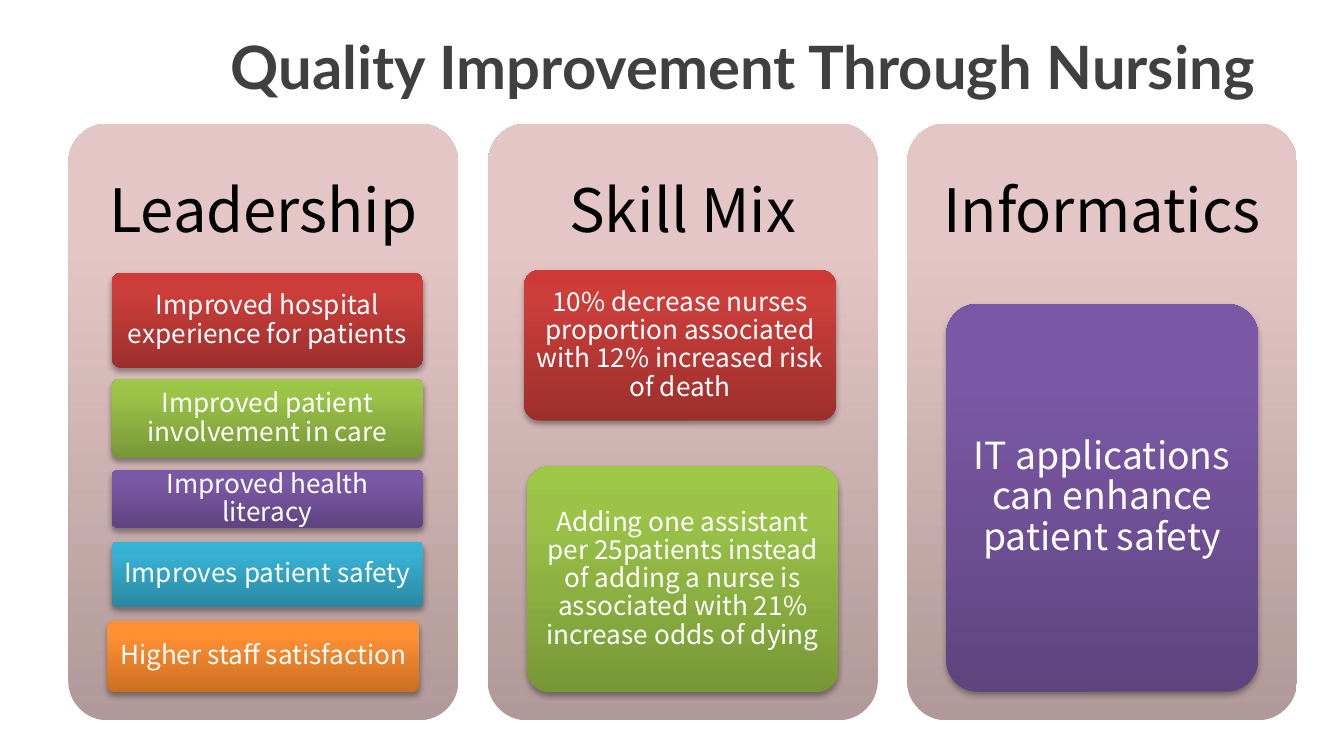
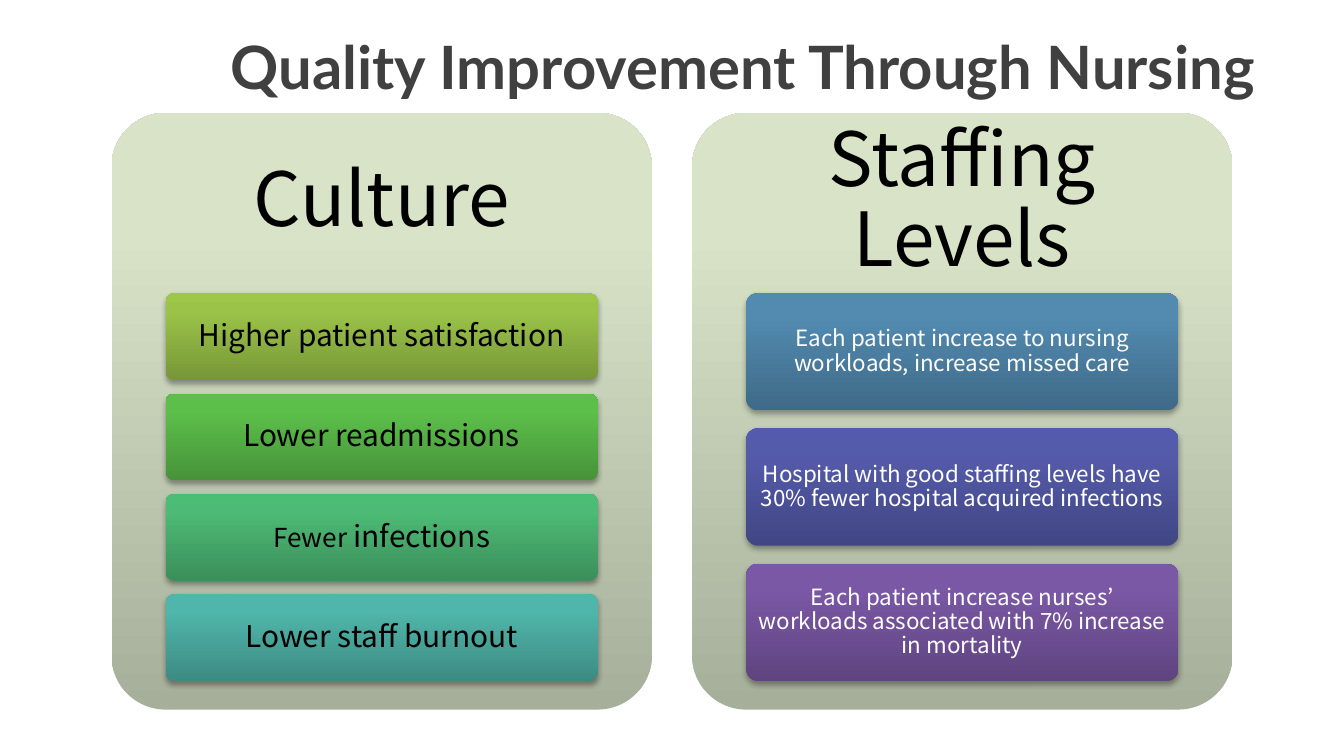
from collections import namedtuple
from copy import deepcopy

from pptx import Presentation
from pptx import util as u
from pptx.dml.color import RGBColor
from pptx.enum import shapes, text
from pptx.oxml import parse_xml
from pptx.oxml.ns import nsdecls, qn

# Widescreen slide; grid of 100 columns across, square cells
WIDTH = u.Inches(10)
HEIGHT = WIDTH * 9 // 16
CELL = WIDTH // 100

# Fonts and plain colours
TITLE_FONT, BODY_FONT = "Lato", "Noto Sans CJK KR"
TITLE_TEXT = "Quality Improvement Through Nursing"
GREY = RGBColor(0x40, 0x40, 0x40)
BLACK = RGBColor(0, 0, 0)
WHITE = RGBColor(0xFF, 0xFF, 0xFF)


def shades(*codes):
    return [RGBColor.from_string(c) for c in codes]


# Gradients, from bottom to top
STOPS = (0, 0.8, 1)
ROSE = shades("B09998", "E5C6C6", "E6C7C6")
SAGE = shades("A6AF9A", "D8E3C8", "D9E4C8")
RED = shades("9C2F2D", "CB3E3A", "CE3B37")
LIME = shades("779737", "9BC348", "9DC746")
PURPLE = shades("5F4480", "7B58A6", "7C57A8")
CYAN = shades("2A88A2", "37B1D2", "34B4D6")
ORANGE = shades("CC6E20", "FF9034", "FF9136")
GREEN = shades("479339", "5CBF4A", "5BC249")
EMERALD = shades("3B8F5A", "4DBA75", "4BBD75")
TEAL = shades("3D8B83", "50B5AA", "4EB8AC")
BLUE = shades("3F6A88", "528AB0", "518BB3")
INDIGO = shades("414684", "555BAB", "545AAE")

# Panel proportions
PANEL_HEIGHT = 44.4
HEADER_SHARE, STACK_SHARE = 0.3, 0.65
CARD_SHARE = 0.8
GAP_SHARE = 2 / 13  # gap between cards, in card heights

# A card without top and height takes its place in an even stack
Card = namedtuple("Card", "words fill top height shift", defaults=(None, None, 0))
Panel = namedtuple("Panel", "heading size color cards")

OUTCOMES = [
    Panel("Leadership", 14, WHITE, [
        Card("Improved hospital experience for patients", RED, 20.3, 7.1, 0.3),
        Card("Improved patient involvement in care", LIME, 28.2, 5.9, 0.3),
        Card("Improved health literacy", PURPLE, 35, 4.3, 0.3),
        Card("Improves patient safety", CYAN, 40.3, 4.9, 0.3),
        Card("Higher staff satisfaction", ORANGE, 46.2, 5.3),
    ]),
    Panel("Skill Mix", 14, WHITE, [
        Card("10% decrease nurses proportion associated with 12% increased "
             "risk of death", RED, 20.1, 11.2, -0.2),
        Card("Adding one assistant per 25patients instead of adding a nurse is "
             "associated with 21% increase odds of dying", LIME, 34.7, 16.8),
    ]),
    Panel("Informatics", 20, WHITE, [
        Card("IT applications can enhance patient safety", PURPLE),
    ]),
]
WORKPLACE = [
    Panel("Culture", 16, BLACK, [
        Card("Higher patient satisfaction", LIME),
        Card("Lower readmissions", GREEN),
        Card([("Fewer ", 14), ("infections", 16)], EMERALD),
        Card("Lower staff burnout", TEAL),
    ]),
    Panel("Staffing Levels", 12, WHITE, [
        Card("Each patient increase to nursing workloads, increase missed care", BLUE),
        Card("Hospital with good staffing levels have 30% fewer hospital "
             "acquired infections", INDIGO),
        Card("Each patient increase nurses’ workloads associated with 7% "
             "increase in mortality", PURPLE),
    ]),
]


def cells(*counts):
    return [round(n * CELL) for n in counts]


def write(sp, words, size, color, font=BODY_FONT, bold=False, spacing=0.9, inset=None):
    """Centre words, a string or (string, size) pairs, in a shape."""
    tf = sp.text_frame
    tf.word_wrap = True
    tf.vertical_anchor = text.MSO_ANCHOR.MIDDLE
    if inset:
        tf.margin_left = tf.margin_right = u.Pt(inset[0])
        tf.margin_top = tf.margin_bottom = u.Pt(inset[1])
    p = tf.paragraphs[0]
    p.alignment = text.PP_ALIGN.CENTER
    p.line_spacing = spacing
    for part, points in [(words, size)] if isinstance(words, str) else words:
        r = p.add_run()
        r.text = part
        r.font.name, r.font.size, r.font.bold = font, u.Pt(points), bold
        r.font.color.rgb = color


def add_shadow(sp):
    sp_pr = sp._element.spPr
    sp_pr.remove(sp_pr.find(qn("a:effectLst")))
    sp_pr.append(parse_xml(
        f'<a:effectLst {nsdecls("a")}><a:outerShdw blurRad="{u.Pt(3.1)}" '
        f'dist="{u.Pt(1.8)}" dir="5400000" rotWithShape="0"><a:srgbClr val="000000">'
        '<a:alpha val="35000"/></a:srgbClr></a:outerShdw></a:effectLst>'))


def add_block(slide, box, colors):
    """Rounded rectangle with a vertical gradient."""
    sp = slide.shapes.add_shape(shapes.MSO_SHAPE.ROUNDED_RECTANGLE, *cells(*box))
    sp.adjustments[0] = 0.1
    sp.shadow.inherit = False
    sp.line.fill.background()
    sp.fill.gradient()
    sp.fill.gradient_angle = 90
    stop_list = sp._element.spPr.find(qn("a:gradFill")).find(qn("a:gsLst"))
    stop_list.append(deepcopy(stop_list[-1]))
    for stop, position, color in zip(sp.fill.gradient_stops, STOPS, colors):
        stop.position = position
        stop.color.rgb = color
    return sp


def add_panel(slide, panel, left, top, width, fill, heading_size):
    # Background and heading
    add_block(slide, (left, top, width, PANEL_HEIGHT), fill)
    header_height = PANEL_HEIGHT * HEADER_SHARE
    heading = slide.shapes.add_textbox(*cells(left, top, width, header_height))
    write(heading, panel.heading, heading_size, BLACK, inset=[heading_size * 0.3] * 2)

    # Cards
    count = len(panel.cards)
    even = PANEL_HEIGHT * STACK_SHARE / (count + (count - 1) * GAP_SHARE)
    card_left = left + width * (1 - CARD_SHARE) / 2
    for i, card in enumerate(panel.cards):
        card_top = card.top or top + header_height + 0.1 + i * even * (1 + GAP_SHARE)
        box = (card_left + card.shift, card_top, width * CARD_SHARE, card.height or even)
        sp = add_block(slide, box, card.fill)
        add_shadow(sp)
        write(sp, card.words, panel.size, panel.color,
              inset=(panel.size * 0.25, panel.size * 0.15))


def add_slide(prs, panels, left, top, width, pitch, fill, heading_size):
    slide = prs.slides.add_slide(prs.slide_layouts[5])
    title = slide.shapes.title
    title.left, title.top, title.width, title.height = cells(10.6, 0, 89.4, 9.7)
    write(title, TITLE_TEXT, 32, GREY, font=TITLE_FONT, bold=True, spacing=1.0)
    for i, panel in enumerate(panels):
        add_panel(slide, panel, left + i * pitch, top, width, fill, heading_size)


def main():
    prs = Presentation()
    prs.slide_width, prs.slide_height = WIDTH, HEIGHT
    add_slide(prs, OUTCOMES, left=5.1, top=9.2, width=29, pitch=31.2,
              fill=ROSE, heading_size=32)
    add_slide(prs, WORKPLACE, left=8.3, top=8.4, width=40.2, pitch=43.2,
              fill=SAGE, heading_size=40)
    prs.save("out.pptx")


if __name__ == "__main__":
    main()
